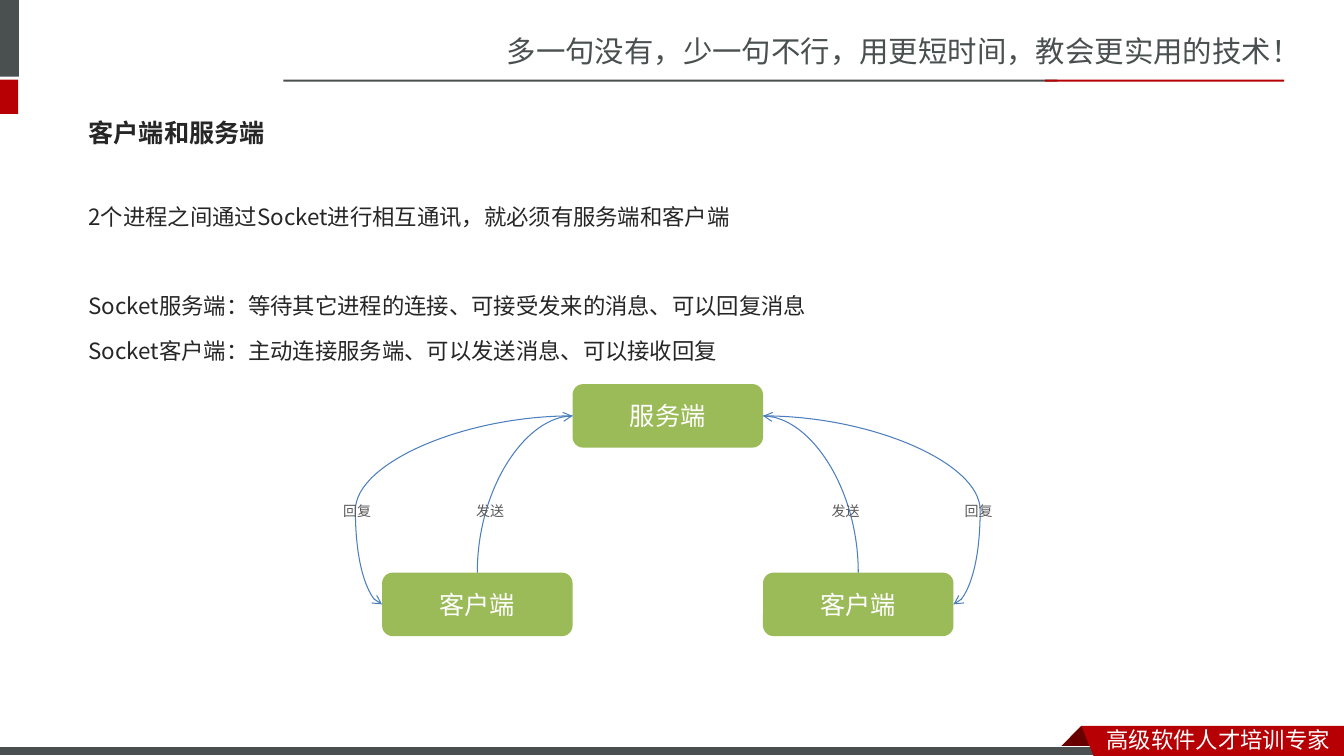
from lxml import etree
from pptx import Presentation
from pptx.dml.color import RGBColor
from pptx.enum.shapes import MSO_CONNECTOR, MSO_SHAPE
from pptx.enum.text import MSO_ANCHOR, PP_ALIGN
from pptx.oxml.ns import qn
from pptx.util import Cm, Pt

RECTANGLE = MSO_SHAPE.RECTANGLE
ROUNDED = MSO_SHAPE.ROUNDED_RECTANGLE
CURVE = MSO_CONNECTOR.CURVE
TOP, MIDDLE = MSO_ANCHOR.TOP, MSO_ANCHOR.MIDDLE
LEFT, CENTER = PP_ALIGN.LEFT, PP_ALIGN.CENTER

COLOURS = {
    "grey": "49504F", "red": "B60004", "fold": "680000", "white": "FFFFFF",
    "text": "262626", "label": "595959", "node": "9BBB59", "curve": "4B7EBC",
}
CJK_SC = "Noto Sans CJK SC"
CJK_JP = "Noto Sans CJK JP"
SLIDE_WIDTH, SLIDE_HEIGHT = 33.87, 19.05


def colour(name):
    return RGBColor.from_string(COLOURS[name])


def write(frame, lines, size, tone, font=CJK_JP, bold=False, align=LEFT, anchor=MIDDLE):
    settings = {"word_wrap": True, "vertical_anchor": anchor,
                "margin_top": 0, "margin_bottom": 0}
    for name, value in settings.items():
        setattr(frame, name, value)
    for index, line in enumerate(lines):
        para = frame.paragraphs[0] if index == 0 else frame.add_paragraph()
        para.alignment = align
        span = para.add_run()
        span.text = line
        for name, value in {"size": Pt(size), "bold": bold, "name": font}.items():
            setattr(span.font, name, value)
        span.font.color.rgb = colour(tone)
        east_asian = CJK_JP if font == "Calibri" else font
        etree.SubElement(span.font._element, qn("a:ea")).set("typeface", east_asian)


def add_text(page, box, lines, size, tone, **format_values):
    frame = page.shapes.add_textbox(*map(Cm, box)).text_frame
    write(frame, lines, size, tone, **format_values)
    return frame


def paint(shape, fill):
    shape.shadow.inherit = False
    shape.fill.solid()
    shape.fill.fore_color.rgb = colour(fill)
    shape.line.fill.background()
    return shape


def add_block(page, box, fill, kind=RECTANGLE):
    return paint(page.shapes.add_shape(kind, *map(Cm, box)), fill)


def add_outline(page, left, top, points, fill):
    corners = [(Cm(left + x), Cm(top + y)) for x, y in points]
    builder = page.shapes.build_freeform(*corners[0])
    builder.add_line_segments(corners[1:], close=True)
    return paint(builder.convert_to_shape(), fill)


def add_curve(page, start, end, arrow_end, preset, bend=None):
    curve = page.shapes.add_connector(CURVE, *map(Cm, start + end))
    curve.line.color.rgb = colour("curve")
    curve.line.width = Pt(0.75)
    properties = curve._element.spPr
    arrow = etree.SubElement(properties.find(qn("a:ln")), qn(arrow_end))
    arrow.set("type", "arrow")
    etree.SubElement(properties, qn("a:effectLst"))
    geometry = properties.find(qn("a:prstGeom"))
    geometry.set("prst", preset)
    if bend is not None:
        guide = etree.SubElement(geometry.find(qn("a:avLst")), qn("a:gd"))
        guide.set("name", "adj1")
        guide.set("fmla", f"val {round(bend * 100000)}")


def draw_header(page, box):
    left, top, width, height = box
    add_text(page, (left + 12.52, top + 0.71, 21.36, 1.14),
             ["多一句没有，少一句不行，用更短时间，教会更实用的技术！"],
             21, "grey", font=CJK_SC)
    add_block(page, (left, top, 0.48, 1.93), "grey")
    add_block(page, (left, top + 2.01, 0.46, height - 2.01), "red")
    add_block(page, (left + 7.14, top + 2.01, 19.51, 0.05), "grey")
    add_block(page, (left + 26.34, top + 2.01, 6.02, 0.05), "red")


def draw_footer(page, box):
    left, top, width, height = box
    ribbon = left + 27.25
    add_outline(page, ribbon, top,
                [(0, 0), (0.56, 0.56), (0.54, 0.58), (-0.53, 0.58), (-0.55, 0.56)],
                "fold")
    strip = add_block(page, (left, top + 0.53, 27.9, height - 0.53), "grey")
    strip.line.color.rgb = colour("white")
    strip.line.width = Pt(0.75)
    edge = left + width - ribbon
    add_outline(page, ribbon, top,
                [(0, 0), (edge, 0), (edge, height), (0.31, height)], "red")
    add_text(page, (ribbon + 0.39, top - 0.13, 6.23, 0.94),
             ["高级软件人才培训专家"], 16, "white", font=CJK_SC)


def draw_body(page, box):
    left, top, width, height = box
    add_text(page, (left, top, width, 1.45), ["客户端和服务端"], 18, "text", bold=True)
    frame = add_text(page, (left, top + 2.05, width, height - 2.05), [
        "2个进程之间通过Socket进行相互通讯，就必须有服务端和客户端",
        "Socket服务端：等待其它进程的连接、可接受发来的消息、可以回复消息",
        "Socket客户端：主动连接服务端、可以发送消息、可以接收回复",
    ], 16, "text", anchor=TOP)
    for para in frame.paragraphs:
        para.line_spacing = Pt(31.9)
    frame.paragraphs[1].space_before = Pt(31.9)


def draw_diagram(page, box):
    left, top, width, height = box
    node_width, node_height = width / 3, 1.6
    middle = left + width / 2
    client_top = top + height - node_height
    server_y, client_y = top + node_height / 2, client_top + node_height / 2
    nodes = [("服务端", left + node_width, top),
             ("客户端", left, client_top),
             ("客户端", left + 2 * node_width, client_top)]
    for name, x, y in nodes:
        node = add_block(page, (x, y, node_width, node_height), "node", ROUNDED)
        write(node.text_frame, [name], 18, "white", font="Calibri", align=CENTER)
    for side in (-1, 1):
        server = (middle + side * node_width / 2, server_y)
        client_side = (middle + side * width / 2, client_y)
        client_top_middle = (middle + side * node_width, client_top)
        add_curve(page, server, client_top_middle, "a:headEnd", "curvedConnector2")
        add_curve(page, server, client_side, "a:tailEnd", "curvedConnector3", 1.14)
        for label, distance in (("发送", 4.48), ("回复", 7.83)):
            add_text(page, (middle + side * distance - 0.81, top + 2.85, 1.62, 0.68),
                     [label], 10, "label", align=CENTER)


def main():
    deck = Presentation()
    deck.slide_width, deck.slide_height = Cm(SLIDE_WIDTH), Cm(SLIDE_HEIGHT)
    page = deck.slides.add_slide(deck.slide_layouts[6])
    draw_header(page, (0, 0, SLIDE_WIDTH, 2.87))
    draw_footer(page, (0, 18.29, SLIDE_WIDTH, 0.76))
    draw_body(page, (1.98, 2.62, 29.72, 6.9))
    draw_diagram(page, (9.63, 9.68, 14.4, 6.35))
    deck.save("out.pptx")


if __name__ == "__main__":
    main()
